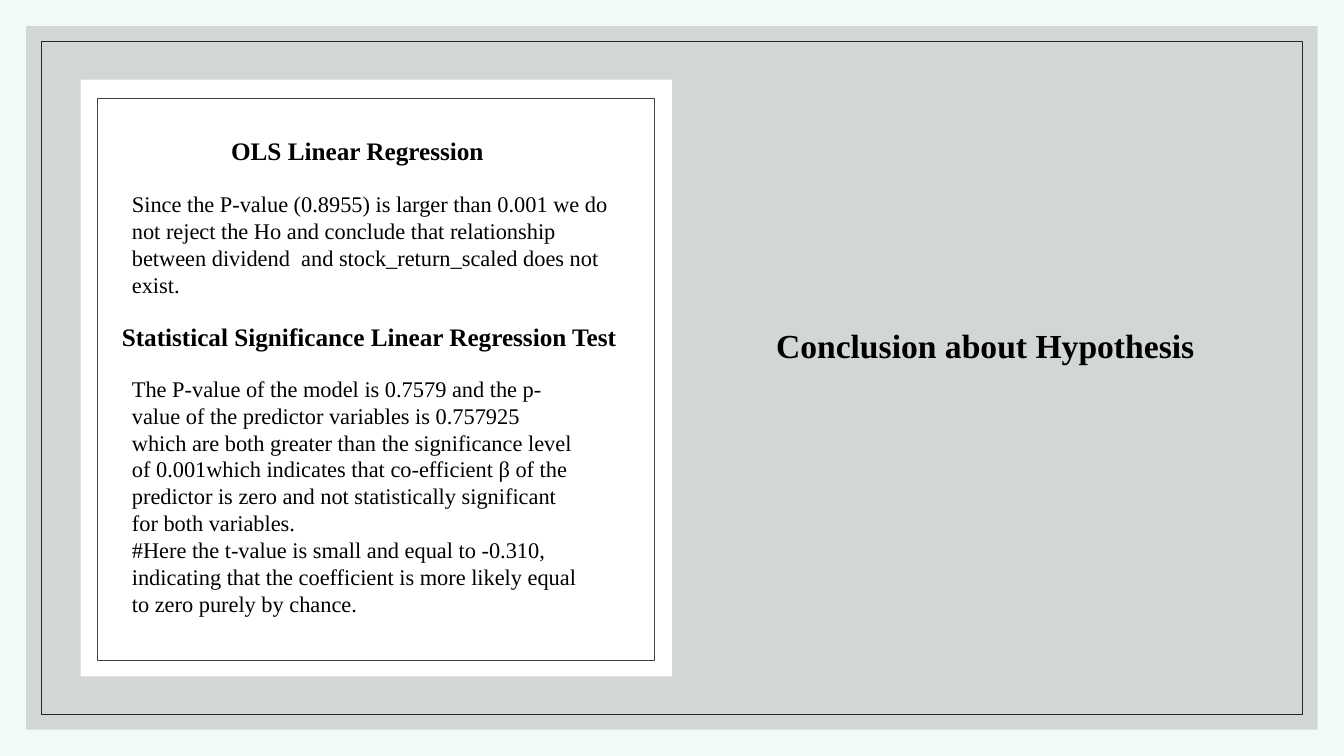
from lxml.etree import SubElement
from pptx import Presentation
from pptx.dml.color import RGBColor as RGB
from pptx.enum.shapes import MSO_SHAPE as Shape
from pptx.enum.text import MSO_AUTO_SIZE as AutoSize, PP_ALIGN as Align
from pptx.oxml.ns import qn
from pptx.util import Inches, Pt

WIDTH, HEIGHT = 13.33, 7.5
FONT = "Times New Roman"
COLORS = {
    "background": "F1FAF9",
    "panel": "BFBFBF",
    "panel_line": "262626",
    "card": "FFFFFF",
    "card_line": "404040",
    "text": "000000",
}
OLS_TEXT = [
    "Since the P-value (0.8955) is larger than 0.001 we do not reject the Ho "
    "and conclude that relationship between dividend  and "
    "stock_return_scaled does not exist.",
]
TEST_TEXT = [
    "The P-value of the model is 0.7579 and the p-value of the predictor "
    "variables is 0.757925 which are both greater than the significance level "
    "of 0.001which indicates that co-efficient β of the predictor is zero and "
    "not statistically significant for both variables.",
    "#Here the t-value is small and equal to -0.310, indicating that the "
    "coefficient is more likely equal to zero purely by chance.",
]


def color(name):
    return RGB.from_string(COLORS[name])


def add_rect(s, box, fill=None, line=None, opacity=100):
    sp = s.shapes.add_shape(Shape.RECTANGLE, *map(Inches, box))
    sp.shadow.inherit = False
    if fill:
        sp.fill.solid()
        sp.fill.fore_color.rgb = color(fill)
        if opacity < 100:
            clr = sp._element.spPr.find(qn("a:solidFill"))[0]
            SubElement(clr, qn("a:alpha"), val=str(opacity * 1000))
    else:
        sp.fill.background()
    if line:
        sp.line.color.rgb = color(line)
        sp.line.width = Pt(0.5)
    else:
        sp.line.fill.background()


def add_text(s, box, lines, size, bold=False, wrap=True, align=Align.LEFT):
    tf = s.shapes.add_textbox(*map(Inches, box)).text_frame
    tf.word_wrap = wrap
    tf.auto_size = AutoSize.SHAPE_TO_FIT_TEXT
    tf.text = "\n".join(lines)
    for p in tf.paragraphs:
        p.alignment = align
        p.font.name = FONT
        p.font.size = Pt(size)
        p.font.bold = bold
        p.font.color.rgb = color("text")


def add_frame(s, box):
    """Translucent panel with an evenly inset outline."""
    x, y, w, h = box
    inset = 0.15
    add_rect(s, box, fill="panel", opacity=60)
    add_rect(s, (x + inset, y + inset, w - 2 * inset, h - 2 * inset),
             line="panel_line")


def add_findings(s, box):
    """White card holding both test results."""
    x, y, w, h = box
    add_rect(s, box, fill="card")
    add_rect(s, (x + 0.17, y + 0.19, w - 0.34, h - 0.35), line="card_line")

    # Regression result
    body_x = x + 0.41
    add_text(s, (x + 1.38, y + 0.5, 2.73, 0.4), ["OLS Linear Regression"],
             18, bold=True, wrap=False, align=Align.CENTER)
    add_text(s, (body_x, y + 1.05, 5.09, 1.18), OLS_TEXT, 16)

    # Significance test result
    add_text(s, (x + 0.31, y + 2.35, 6.26, 0.4),
             ["Statistical Significance Linear Regression Test"], 18, bold=True)
    add_text(s, (body_x, y + 2.88, 4.61, 2.52), TEST_TEXT, 16)


def add_title(s, box):
    add_text(s, box, ["Conclusion about Hypothesis"], 24, bold=True, wrap=False)


def main():
    prs = Presentation()
    prs.slide_width, prs.slide_height = Inches(WIDTH), Inches(HEIGHT)
    s = prs.slides.add_slide(prs.slide_layouts[6])
    s.background.fill.solid()
    s.background.fill.fore_color.rgb = color("background")

    margin = 0.26
    add_frame(s, (margin, margin, WIDTH - 2 * margin, HEIGHT - 2 * margin))
    add_findings(s, (0.06 * WIDTH, 0.79, 0.44 * WIDTH, 5.92))
    add_title(s, (0.57 * WIDTH, 3.17, 4.39, 0.5))
    prs.save("out.pptx")


if __name__ == "__main__":
    main()
